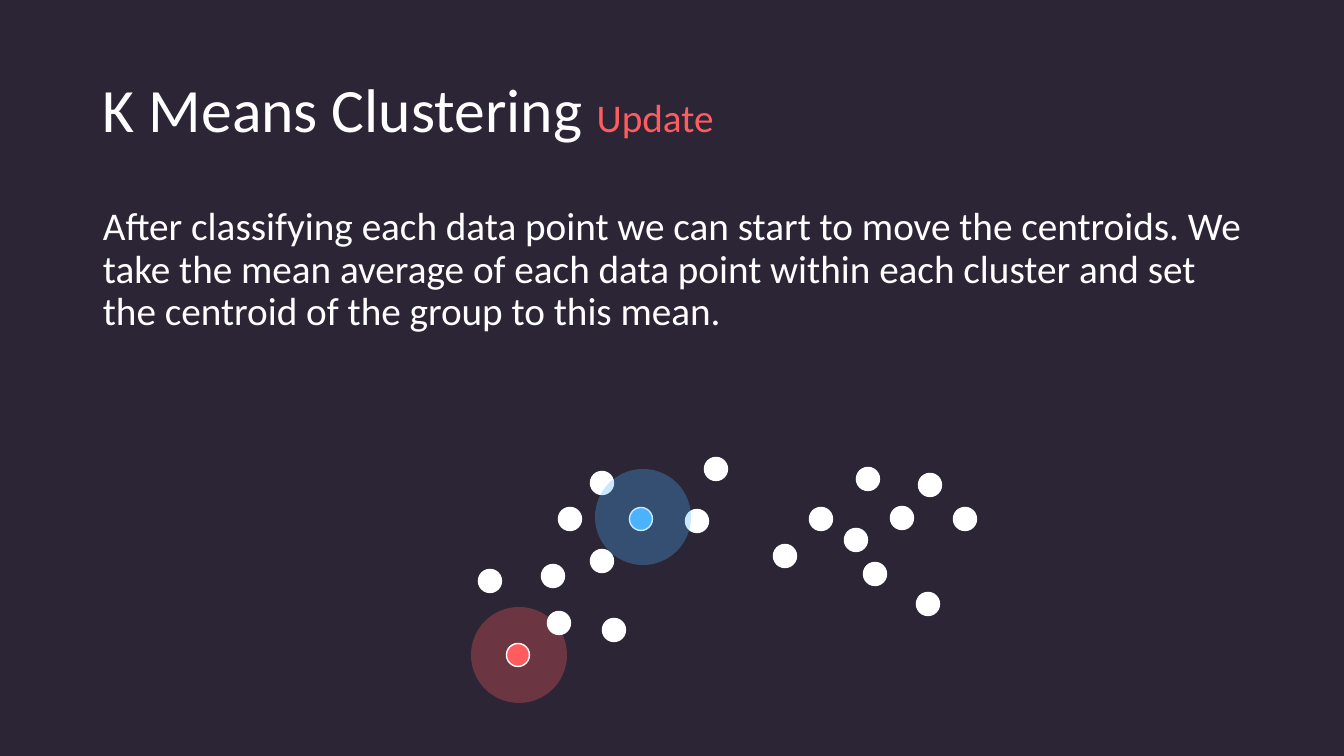
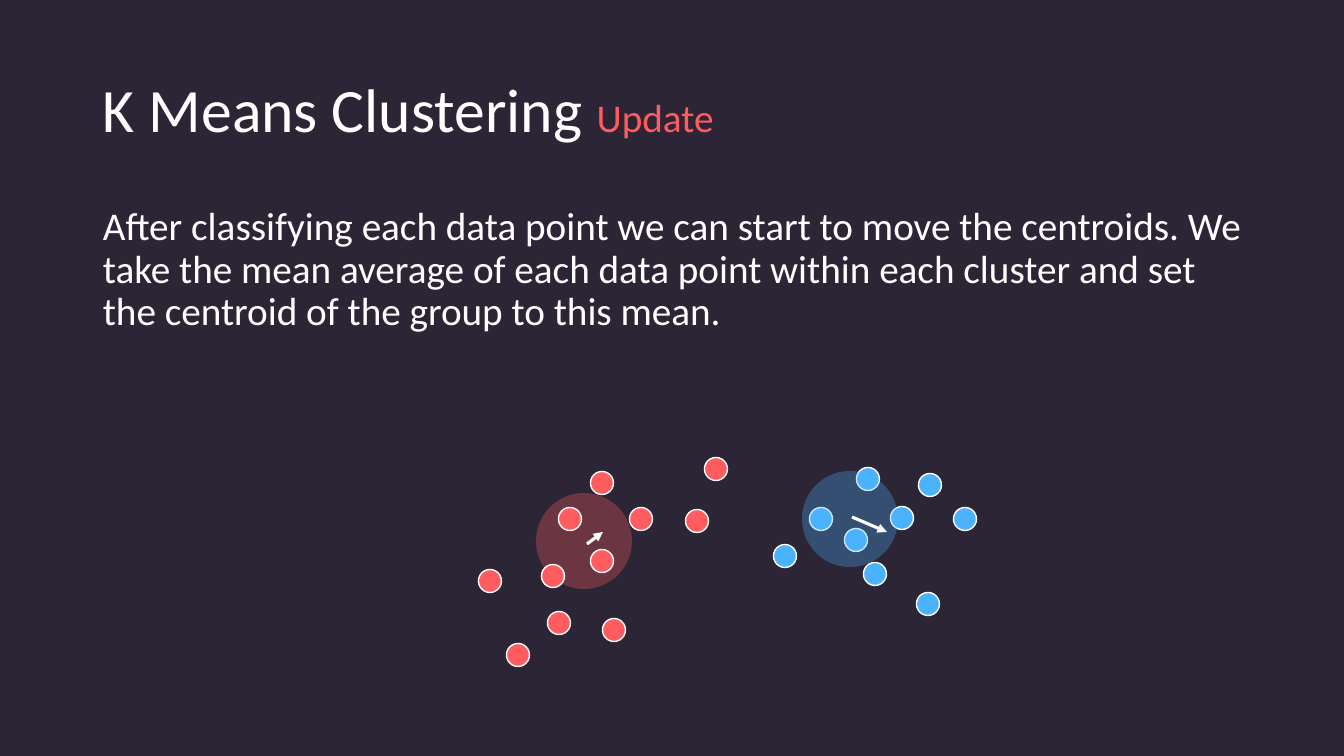
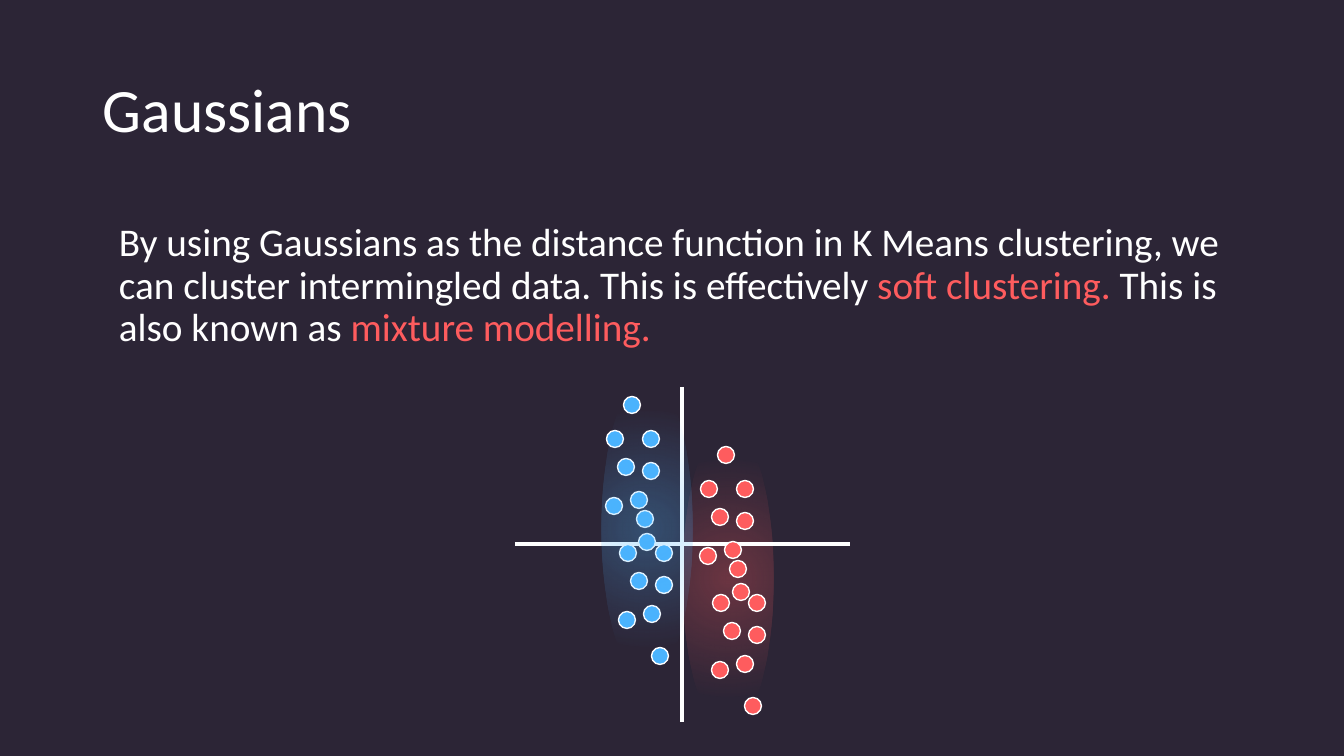
from dataclasses import dataclass

from lxml.etree import SubElement
from pptx import Presentation
from pptx.dml.color import RGBColor
from pptx.enum.shapes import MSO_CONNECTOR as CONN, MSO_SHAPE as SHAPE
from pptx.enum.text import MSO_ANCHOR as ANCHOR
from pptx.oxml import parse_xml
from pptx.oxml.ns import nsdecls, qn
from pptx.util import Emu, Pt

SCALE = 914400 / 100.8  # EMU per pixel


def px(n):
    return Emu(round(n * SCALE))


@dataclass(frozen=True)
class Theme:
    font: str = "Calibri"
    back: str = "2C2536"
    white: str = "FFFFFF"
    red: str = "FE5C5E"
    blue: str = "4BB3FD"
    title: int = 44
    body: int = 28
    outline: float = 1
    stroke: float = 2.25
    spacing: float = 0.9
    halo_alpha: int = 30


T = Theme()


def add_run(p, text, size=T.body, color=T.white):
    r = p.add_run()
    r.text = text
    r.font.name = T.font
    r.font.size = Pt(size)
    r.font.color.rgb = RGBColor.from_string(color)


class Deck:
    def __init__(self):
        self.prs = Presentation()
        self.prs.slide_width, self.prs.slide_height = px(1344), px(756)
        fill = self.prs.slide_master.background.fill
        fill.solid()
        fill.fore_color.rgb = RGBColor.from_string(T.back)

    def new_slide(self):
        self.s = self.prs.slides.add_slide(self.prs.slide_layouts[6])

    def text(self, box, runs, anchor=ANCHOR.TOP, before=0):
        """Each run is a tuple of text and keyword formats."""
        tf = self.s.shapes.add_textbox(*map(px, box)).text_frame
        tf.word_wrap = True
        tf.vertical_anchor = anchor
        p = tf.paragraphs[0]
        p.line_spacing = T.spacing
        p.space_before = Pt(before)
        for text, style in runs:
            add_run(p, text, **style)

    def title(self, text, tag=None):
        runs = [(text, dict(size=T.title))]
        if tag:
            runs.append((tag, dict(color=T.red)))
        self.text((93, 40, 1159, 146), runs, anchor=ANCHOR.MIDDLE)

    def body(self, box, *runs):
        self.text(box, runs, before=10)

    def ellipse(self, center, w, h, color, shapes=None):
        x, y = center
        shapes = self.s.shapes if shapes is None else shapes
        sp = shapes.add_shape(SHAPE.OVAL, px(x - w / 2), px(y - h / 2), px(w), px(h))
        sp.shadow.inherit = False
        sp.fill.solid()
        sp.fill.fore_color.rgb = RGBColor.from_string(color)
        sp.line.fill.background()
        return sp

    def dots(self, centers, size, color, shapes=None):
        for center in centers:
            sp = self.ellipse(center, size, size, color, shapes)
            sp.line.color.rgb = RGBColor.from_string(T.white)
            sp.line.width = Pt(T.outline)

    def halo(self, center, color):
        sp = self.ellipse(center, 96, 96, color)
        clr = sp.fill._xPr.find(qn("a:solidFill")).find(qn("a:srgbClr"))
        SubElement(clr, qn("a:alpha")).set("val", str(T.halo_alpha * 1000))

    def glow(self, center, color):
        """Tall ellipse that fades from its centre."""
        sp = self.ellipse(center, 90, 304, color)
        stops = "".join(
            f'<a:gs pos="{pos * 1000}"><a:srgbClr val="{color}">'
            f'<a:alpha val="{alpha * 1000}"/></a:srgbClr></a:gs>'
            for pos, alpha in ((0, T.halo_alpha), (75, 0)))
        solid = sp.fill._xPr.find(qn("a:solidFill"))
        solid.getparent().replace(solid, parse_xml(
            f'<a:gradFill {nsdecls("a")} rotWithShape="1"><a:gsLst>{stops}</a:gsLst>'
            '<a:path path="circle"><a:fillToRect l="50000" t="50000" r="50000" b="50000"/>'
            '</a:path></a:gradFill>'))

    def line(self, start, end, arrow=False):
        c = self.s.shapes.add_connector(CONN.STRAIGHT, *map(px, start + end))
        c.line.color.rgb = RGBColor.from_string(T.white)
        c.line.width = Pt(T.stroke)
        if arrow:
            SubElement(c.line._ln, qn("a:tailEnd")).set("type", "triangle")
        SubElement(c._element.spPr, qn("a:effectLst"))


# Data points of the two clusters
LEFT = [(570, 519), (602, 483), (602, 561), (641, 519), (490, 581), (518, 655),
        (614, 630), (553, 576), (697, 521), (716, 469), (559, 623)]
RIGHT = [(965, 519), (928, 604), (875, 574), (785, 556), (821, 519),
         (930, 485), (868, 479), (856, 540), (902, 518)]
DOT = 23
BLUE_START, RED_START = LEFT[3], LEFT[5]

# Strand of points, relative to its first point
STRAND = [(0, 0), (-17, 34), (19, 34), (19, 66), (-6, 62), (7, 95), (-18, 101), (15, 137)]
SMALL_DOT = 17

UPDATE = ("After classifying each data point we can start to move the centroids. "
          "We take the mean average of each data point within each cluster and set "
          "the centroid of the group to this mean.")

deck = Deck()


def update_slide(red_center):
    deck.new_slide()
    deck.body((93, 202, 1159, 207), (UPDATE, {}))
    deck.halo(red_center, T.red)
    deck.title("K Means Clustering ", "Update")


# Slide 1: starting centroids
update_slide((519, 655))
deck.dots([c for c in LEFT + RIGHT if c not in (BLUE_START, RED_START)], DOT, T.white)
deck.dots([BLUE_START], DOT, T.blue)
deck.dots([RED_START], DOT, T.red)
deck.halo((643, 517), T.blue)

# Slide 2: classified points and moving centroids
update_slide((584, 541))
deck.dots(LEFT, DOT, T.red)
deck.dots(RIGHT, DOT, T.blue)
deck.halo((850, 519), T.blue)
deck.line((587, 544), (603, 532), arrow=True)
deck.line((852, 517), (887, 532), arrow=True)

# Slide 3: Gaussian clusters on axes
deck.new_slide()
deck.glow((728, 578), T.red)
deck.title("Gaussians")
deck.body((109, 218, 1177, 153),
          ("By using Gaussians as the distance function in K Means clustering, we can "
           "cluster intermingled data. This is effectively ", {}),
          ("soft clustering.", dict(color=T.red)),
          (" This is also known as ", {}),
          ("mixture modelling.", dict(color=T.red)))
deck.line((515, 544), (850, 544))
deck.line((682, 387), (682, 722))
for color, origins in ((T.red, [(738, 569), (726, 455)]),
                       (T.blue, [(645, 519), (632, 405)])):
    group = deck.s.shapes.add_group_shape()
    for x, y in origins:
        deck.dots([(x + dx, y + dy) for dx, dy in STRAND], SMALL_DOT, color, group.shapes)
deck.glow((647, 529), T.blue)

deck.prs.save("out.pptx")
